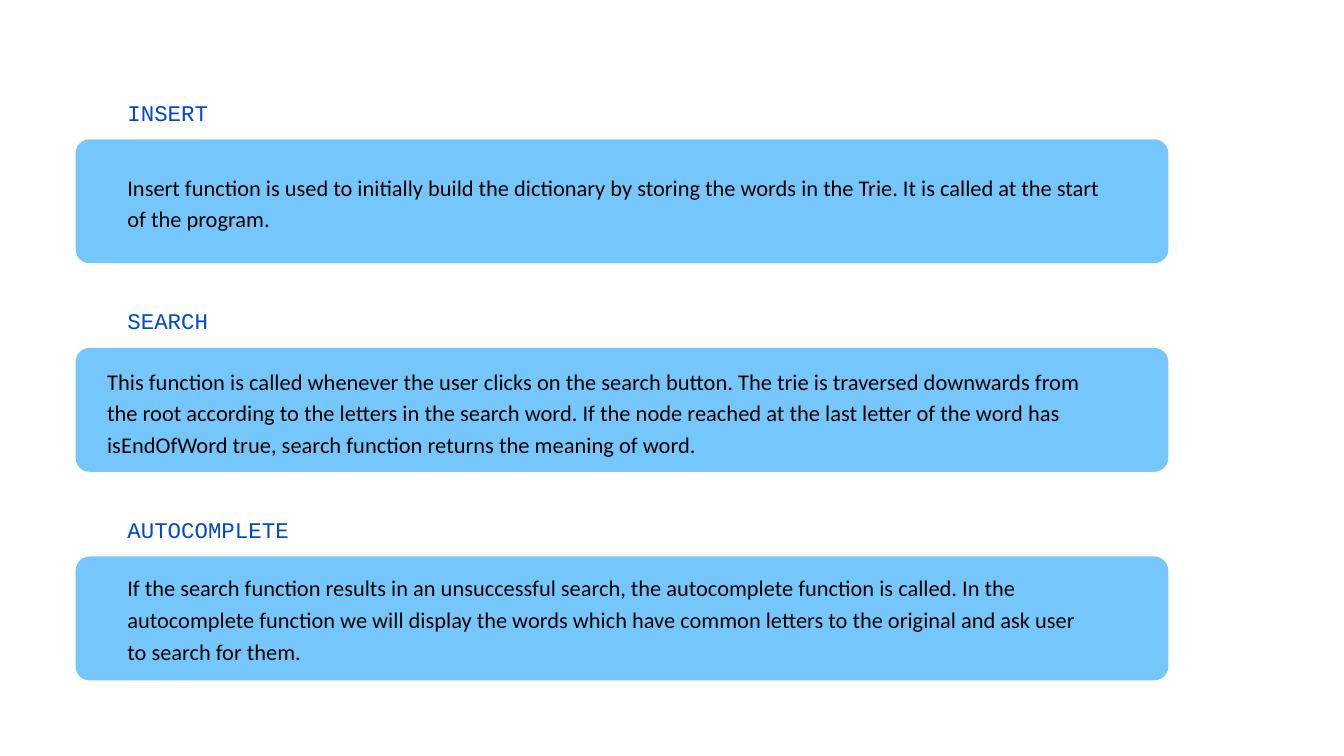
from dataclasses import dataclass

from pptx import Presentation
from pptx import util as u
from pptx.dml import color
from pptx.enum import shapes, text

PX = 9525


@dataclass(frozen=True)
class Theme:
    heading_color: str = "0048CD"
    body_color: str = "000000"
    card_color: str = "75C7FB"
    panel_color: str = "FFFFFF"
    heading_font: str = "Courier New"
    body_font: str = "Calibri"
    size: float = 24
    search_size: float = 24.1
    heading_leading: float = 33.6
    body_leading: float = 34.1
    search_leading: float = 34.2


THEME = Theme()

SECTIONS = [
    dict(
        heading="INSERT",
        body="Insert function is used to initially build the dictionary by storing "
             "the words in the Trie. It is called at the start of the program.",
        body_box=(74, 133, 1404, 89),
        has_panel=False,
    ),
    dict(
        heading="SEARCH",
        body="This function is called whenever the user clicks on the search button. "
             "The trie is traversed downwards from the root according to the letters "
             "in the search word. If the node reached at the last letter of the word "
             "has isEndOfWord true, search function returns the meaning of word.",
        body_box=(45, 112, 1433, 180),
        size=THEME.search_size,
        leading=THEME.search_leading,
    ),
    dict(
        heading="AUTOCOMPLETE",
        body="If the search function results in an unsuccessful search, the "
             "autocomplete function is called. In the autocomplete function we will "
             "display the words which have common letters to the original and ask "
             "user to search for them.",
        body_box=(74, 109, 1361, 134),
    ),
]


def emu(*lengths):
    return [u.Emu(length * PX) for length in lengths]


def add_text(slide, words, *, box, font, size, fill, leading):
    label = slide.shapes.add_textbox(*emu(*box))
    frame = label.text_frame
    frame.word_wrap = True
    frame.auto_size = text.MSO_AUTO_SIZE.SHAPE_TO_FIT_TEXT
    frame.margin_left = frame.margin_right = 0
    frame.margin_top = frame.margin_bottom = 0
    paragraph = frame.paragraphs[0]
    paragraph.line_spacing = u.Pt(leading)
    run = paragraph.add_run()
    run.text = words
    run.font.name = font
    run.font.size = u.Pt(size)
    run.font.color.rgb = color.RGBColor.from_string(fill)


def add_rounded(slide, box, fill, radius=20):
    card = slide.shapes.add_shape(shapes.MSO_SHAPE.ROUNDED_RECTANGLE, *emu(*box))
    card.adjustments[0] = radius / min(box[2:])
    card.shadow.inherit = False
    card.fill.solid()
    card.fill.fore_color.rgb = color.RGBColor.from_string(fill)
    card.line.fill.background()


def add_section(slide, box, *, heading, body, body_box, has_panel=True,
                size=THEME.size, leading=THEME.body_leading):
    left, top, width, height = box
    if has_panel:
        add_rounded(slide, box, THEME.panel_color)
    add_text(slide, heading, box=(left + 74, top + 27, 1361, 42),
             font=THEME.heading_font, size=THEME.size,
             fill=THEME.heading_color, leading=THEME.heading_leading)
    add_rounded(slide, (left, top + 91, width, 177), THEME.card_color)
    dx, dy, body_width, body_height = body_box
    add_text(slide, body, box=(left + dx, top + dy, body_width, body_height),
             font=THEME.body_font, size=size, fill=THEME.body_color, leading=leading)


def main():
    deck = Presentation()
    deck.slide_width, deck.slide_height = emu(1920, 1080)
    slide = deck.slides.add_slide(deck.slide_layouts[6])
    for index, section in enumerate(SECTIONS):
        add_section(slide, (108, 108 + index * 298, 1561, 235), **section)
    deck.save("out.pptx")


if __name__ == "__main__":
    main()
